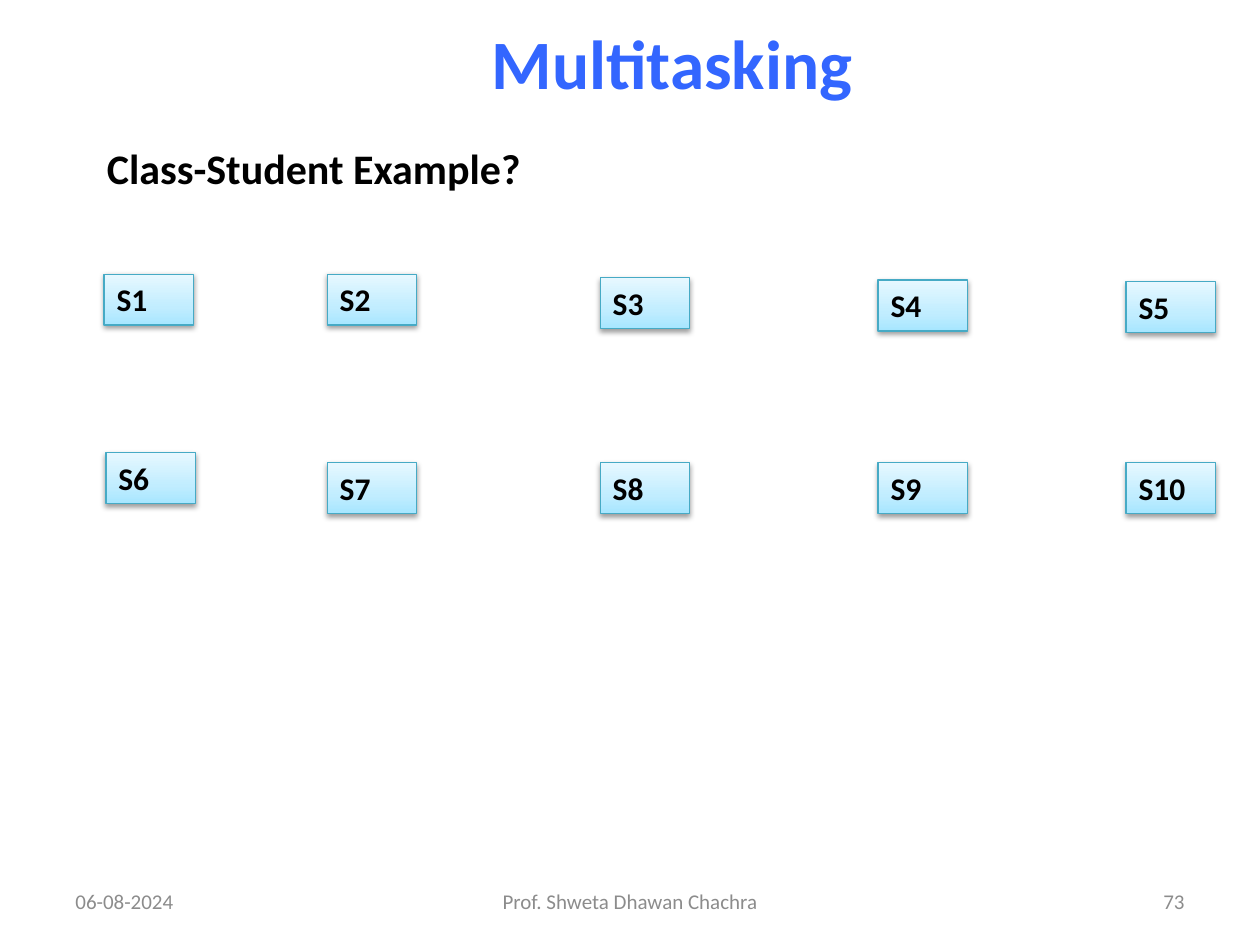
import copy
from dataclasses import dataclass

import pptx
import pptx.dml.color
import pptx.enum.shapes
import pptx.enum.text
import pptx.oxml
import pptx.oxml.ns
import pptx.util

Pt = pptx.util.Pt
Align = pptx.enum.text.PP_ALIGN
Anchor = pptx.enum.text.MSO_ANCHOR
AutoSize = pptx.enum.text.MSO_AUTO_SIZE


def colour(code):
    return pptx.dml.color.RGBColor.from_string(code)


@dataclass(frozen=True)
class Theme:
    font: str = "Calibri"
    title_colour: str = "3366FF"
    text_colour: str = "000000"
    footer_colour: str = "8C8C8C"
    line_colour: str = "46AAC5"
    gradient: tuple = ((0, "A7E6FF"), (0.35, "C1EDFF"), (1, "E7F8FF"))
    title_size: float = 39.6
    heading_size: float = 24
    label_size: float = 18
    footer_size: float = 12


class SlideBuilder:
    def __init__(self, deck, theme):
        self.theme = theme
        self.page = deck.slides.add_slide(deck.slide_layouts[5])

    def set_text(self, box, text, size, code, bold=False, align=Align.LEFT, **frame_values):
        frame = box.text_frame
        frame_format = {"word_wrap": True, "auto_size": AutoSize.NONE,
                        "vertical_anchor": Anchor.TOP, **frame_values}
        for name, value in frame_format.items():
            setattr(frame, name, value)
        para = frame.paragraphs[0]
        para.alignment = align
        span = para.add_run()
        span.text = text
        span_format = {"name": self.theme.font, "size": Pt(size), "bold": bold}
        for name, value in span_format.items():
            setattr(span.font, name, value)
        span.font.color.rgb = colour(code)

    def title(self, text, left, top, width, height):
        box = self.page.shapes.title
        place = {"left": left, "top": top, "width": width, "height": height}
        for name, value in place.items():
            setattr(box, name, Pt(value))
        self.set_text(box, text, self.theme.title_size, self.theme.title_colour,
                      bold=True, align=Align.CENTER, vertical_anchor=Anchor.MIDDLE)

    def text_box(self, left, top, width, height):
        return self.page.shapes.add_textbox(Pt(left), Pt(top), Pt(width), Pt(height))

    def heading(self, text, left, top, width, height):
        box = self.text_box(left, top, width, height)
        self.set_text(box, text, self.theme.heading_size, self.theme.text_colour,
                      bold=True, margin_top=Pt(38))

    def footer(self, text, left, width, align):
        box = self.text_box(left, 500.5, width, 28.75)
        self.set_text(box, text, self.theme.footer_size, self.theme.footer_colour,
                      align=align, vertical_anchor=Anchor.MIDDLE)

    def student(self, text, left, top):
        box = self.page.shapes.add_shape(
            pptx.enum.shapes.MSO_SHAPE.RECTANGLE, Pt(left), Pt(top), Pt(51.1), Pt(29.1))
        box.line.color.rgb = colour(self.theme.line_colour)
        box.line.width = Pt(0.75)
        self.shade(box)
        self.drop_shadow(box)
        self.set_text(box, text, self.theme.label_size, self.theme.text_colour,
                      bold=True, auto_size=AutoSize.SHAPE_TO_FIT_TEXT)

    def shade(self, box):
        box.fill.gradient()
        box.fill.gradient_angle = 90
        first_stop = box.element.spPr.xpath("./a:gradFill/a:gsLst/a:gs")[0]
        first_stop.addnext(copy.deepcopy(first_stop))
        for stop, (position, code) in zip(box.fill.gradient_stops, self.theme.gradient):
            stop.position = position
            stop.color.rgb = colour(code)

    def drop_shadow(self, box):
        box.shadow.inherit = False
        effects = box.element.spPr.find(pptx.oxml.ns.qn("a:effectLst"))
        effects.append(pptx.oxml.parse_xml(
            f'<a:outerShdw {pptx.oxml.ns.nsdecls("a")} blurRad="{Pt(3.1)}" '
            f'dist="{Pt(1.6)}" dir="5400000" rotWithShape="0">'
            '<a:srgbClr val="000000"><a:alpha val="38000"/></a:srgbClr></a:outerShdw>'))


def main():
    deck = pptx.Presentation()
    deck.slide_width, deck.slide_height = Pt(720), Pt(540)
    builder = SlideBuilder(deck, Theme())
    builder.title("Multitasking", 84, 13, 600, 45)
    builder.heading("Class-Student Example?", 54, 43.2, 617, 430)
    builder.footer("06-08-2024", 36, 168, Align.LEFT)
    builder.footer("Prof. Shweta Dhawan Chachra", 246, 228, Align.CENTER)
    builder.footer("73", 516, 168, Align.RIGHT)

    columns = (59.5, 187, 343, 501.8, 643.5)
    row_tops = ((156.7, 156.7, 158.6, 160, 160.8),
                (258.6, 264.2, 264.2, 264.2, 264.2))
    for row, tops in enumerate(row_tops):
        for column, (left, top) in enumerate(zip(columns, tops)):
            number = row * len(columns) + column + 1
            builder.student(f"S{number}", left + (row if column == 0 else 0), top)
    deck.save("out.pptx")


if __name__ == "__main__":
    main()
